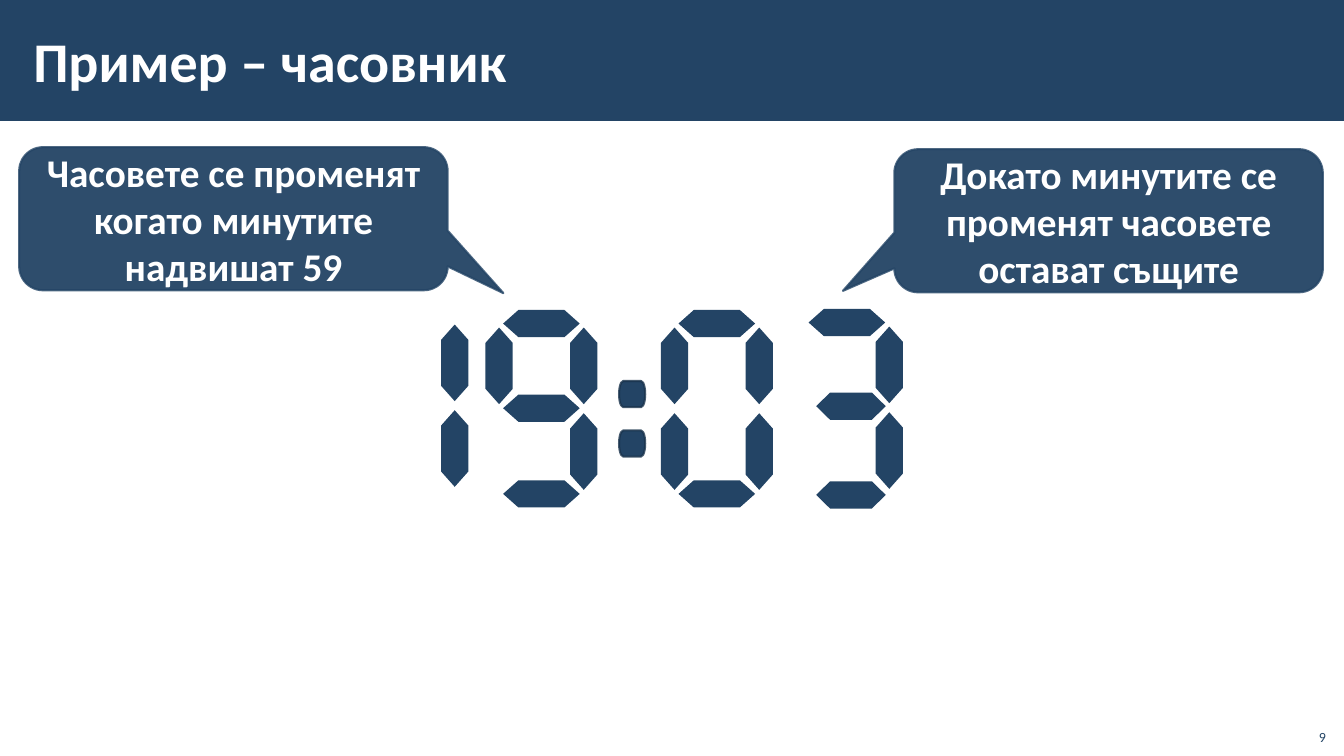
from lxml.etree import SubElement
from pptx import Presentation
from pptx.dml.color import RGBColor
from pptx.enum.shapes import MSO_SHAPE
from pptx.enum.text import MSO_ANCHOR, MSO_AUTO_SIZE, PP_ALIGN
from pptx.oxml.ns import qn
from pptx.util import Inches, Pt

NAVY, WHITE = "234465", "FFFFFF"
LONG, THICK = 0.76, 0.27

# Segment: centre x, centre y, length, rotation, within a digit box
SEGMENTS = {
    "top": (0.56, 0.13, LONG, 0),
    "middle": (0.56, 0.97, LONG, 0),
    "bottom": (0.56, 1.82, LONG, 0),
    "upper left": (0.14, 0.55, LONG, 90),
    "lower left": (0.14, 1.4, LONG, 90),
    "upper right": (0.98, 0.55, LONG, 90),
    "lower right": (0.98, 1.4, LONG, 90),
    "short middle": (0.6, 0.96, 0.69, 0),
    "short bottom": (0.6, 1.84, 0.69, 0),
}
RIGHT = ["upper right", "lower right"]
DIGITS = {
    "1": RIGHT,
    "9": RIGHT + ["top", "middle", "bottom", "upper left"],
    "0": RIGHT + ["top", "bottom", "upper left", "lower left"],
    "3": RIGHT + ["top", "short middle", "short bottom"],
}


def paint(color, hue, alpha=100):
    """Set a solid fill or line colour, with alpha in percent."""
    color.fill.solid() if hasattr(color, "fill") else color.solid()
    fore = color.fill.fore_color if hasattr(color, "fill") else color.fore_color
    fore.rgb = RGBColor.from_string(hue)
    if alpha < 100:
        parent = color.fill if hasattr(color, "fill") else color
        return parent
    return None


def fade(element, alpha):
    """Make every solid colour directly inside element translucent."""
    for hue in element.findall(qn("a:solidFill") + "/" + qn("a:srgbClr")):
        SubElement(hue, qn("a:alpha"), val=str(alpha * 1000))


def add_block(slide, kind, left, top, width, height, line=None):
    shape = slide.shapes.add_shape(
        kind, Inches(left), Inches(top), Inches(width), Inches(height))
    shape.shadow.inherit = False
    paint(shape.fill, NAVY)
    if line:
        paint(shape.line, line)
        shape.line.width = Pt(1.5)
        fade(shape.element.spPr.find(qn("a:ln")), 80)
    else:
        shape.line.fill.background()
    return shape


def write(frame, text, size, hue, align, anchor, bold=True):
    frame.text = text
    frame.word_wrap = True
    frame.auto_size = MSO_AUTO_SIZE.NONE
    frame.vertical_anchor = anchor
    par = frame.paragraphs[0]
    par.alignment = align
    font = par.font
    font.name, font.size, font.bold = "Calibri", Pt(size), bold
    font.color.rgb = RGBColor.from_string(hue)


def add_header(slide, text, width, height):
    bar = add_block(slide, MSO_SHAPE.RECTANGLE, 0, 0, width, height)
    title = slide.shapes.title
    title.element.addprevious(bar.element)
    title.left, title.top = Inches(0.21), Inches(0.11)
    title.width, title.height = Inches(10.63), Inches(height - 0.23)
    frame = title.text_frame
    write(frame, text, 40, WHITE, PP_ALIGN.LEFT, MSO_ANCHOR.MIDDLE)
    frame.margin_left = frame.margin_right = Inches(0.12)
    frame.margin_top = frame.margin_bottom = Inches(0.04)


def add_digit(slide, digit, left, top):
    for name in DIGITS[digit]:
        x, y, size, turn = SEGMENTS[name]
        part = add_block(slide, MSO_SHAPE.FLOWCHART_PREPARATION,
                         left + x - size / 2, top + y - THICK / 2, size, THICK)
        part.rotation = turn


def add_clock(slide, left, top):
    for digit, x, y in [("1", 0, -0.03), ("9", 1.28, 0),
                        ("0", 3.02, 0), ("3", 4.31, -0.01)]:
        add_digit(slide, digit, left + x, top + y)
    for y in (0.7, 1.19):
        add_block(slide, MSO_SHAPE.FLOWCHART_TERMINATOR,
                  left + 2.61, top + y, 0.26, 0.26, "1A334C")


def add_callout(slide, text, left, top, tip):
    """Tip is the pointer's offset from the centre, in shares of the size."""
    bubble = add_block(slide, MSO_SHAPE.ROUNDED_RECTANGULAR_CALLOUT,
                       left, top, 4.25, 1.42, NAVY)
    bubble.adjustments[0], bubble.adjustments[1] = tip
    fade(bubble.element.spPr, 95)
    write(bubble.text_frame, text, 28, WHITE, PP_ALIGN.CENTER, MSO_ANCHOR.MIDDLE)


def add_number(slide, text, left, top):
    box = slide.shapes.add_textbox(
        Inches(left), Inches(top), Inches(0.4), Inches(0.32))
    write(box.text_frame, text, 10, NAVY, PP_ALIGN.RIGHT, MSO_ANCHOR.BOTTOM, False)


def main():
    deck = Presentation()
    deck.slide_width, deck.slide_height = Inches(13.33), Inches(7.5)
    slide = deck.slides.add_slide(deck.slide_layouts[5])
    add_header(slide, "Пример – часовник", 13.33, 1.2)
    add_clock(slide, 3.53, 3.08)
    add_callout(slide, "Часовете се променят когато минутите надвишат 59",
                0.19, 1.46, (0.63, 0.52))
    add_callout(slide, "Докато минутите се променят часовете остават същите",
                8.87, 1.48, (-0.62, 0.49))
    add_number(slide, "9", 12.85, 7.12)
    deck.save("out.pptx")


if __name__ == "__main__":
    main()
